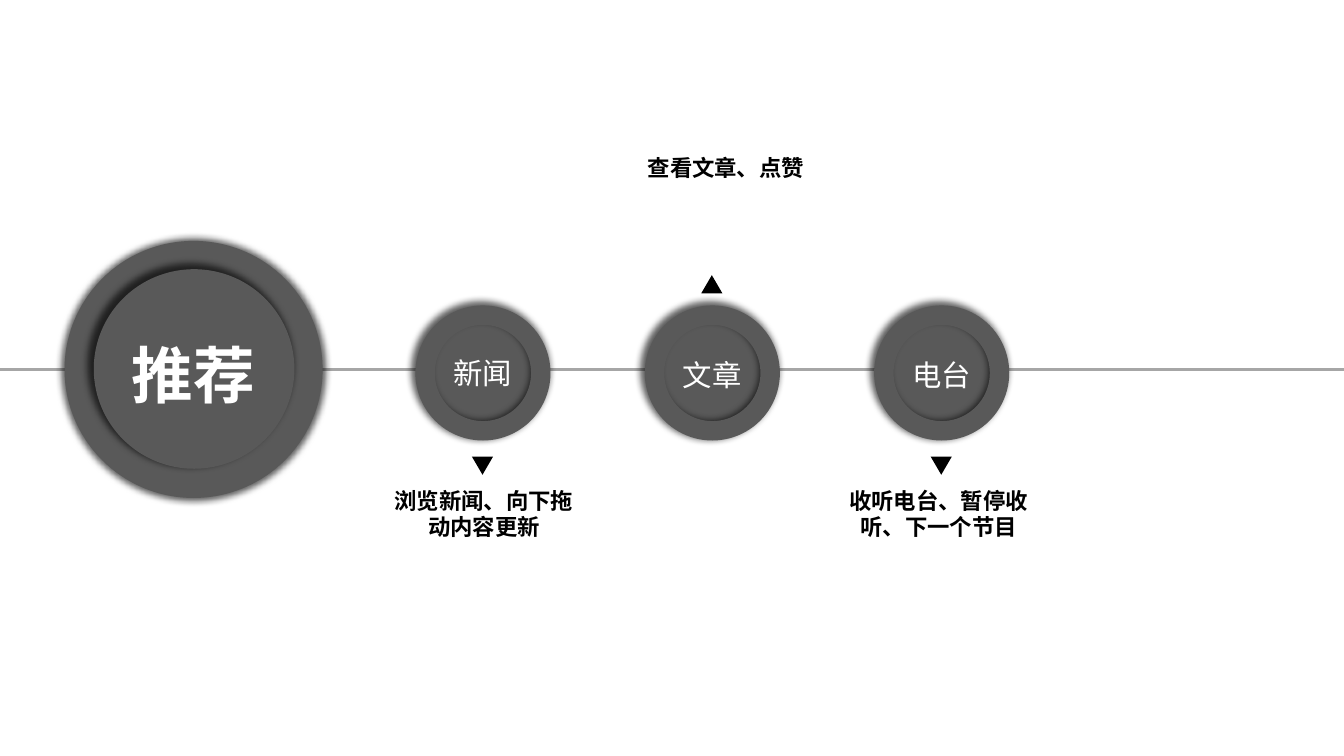
from lxml.etree import SubElement as Sub
from pptx import Presentation
from pptx.dml.color import RGBColor as Rgb
from pptx.enum.shapes import MSO_CONNECTOR as Link, MSO_SHAPE as Form
from pptx.enum.text import MSO_AUTO_SIZE as Fit, PP_ALIGN as Align
from pptx.oxml.ns import qn
from pptx.util import Inches, Pt

INK = {"disc": "595959", "line": "A6A6A6", "text": "FFFFFF", "note": "000000"}
CJK = "Noto Sans CJK SC"
LEFT, STEP = 4.12, 2.275  # first ring and distance between rings

# name, name top, name font, note, note left, note top, note height, note font, arrow up
STOPS = [
    ("新闻", 3.47, "浏览新闻、向下拖动内容更新", 3.75, 4.78, 0.64, "Arial", False),
    ("文章", 3.49, "查看文章、点赞", 6.15, 1.48, 0.37, CJK, True),
    ("电台", 3.49, "收听电台、暂停收听、下一个节目", 8.26, 4.78, 0.64, CJK, False),
]


def add_form(slide, form, box, ink, turn=0):
    shape = slide.shapes.add_shape(form, *map(Inches, box))
    shape.shadow.inherit = False
    shape.fill.solid()
    shape.fill.fore_color.rgb = Rgb.from_string(INK[ink])
    shape.line.fill.background()
    shape.rotation = turn
    return shape


def add_glow(shape):
    """Soft dark shadow, slightly larger than the shape."""
    effects = shape._element.spPr.find(qn("a:effectLst"))
    glow = Sub(effects, qn("a:outerShdw"), blurRad=str(Pt(5)), sx="102000",
               sy="102000", algn="ctr", rotWithShape="0")
    black = Sub(glow, qn("a:srgbClr"), val="000000")
    Sub(black, qn("a:alpha"), val="64000")


def add_disc(slide, form, box, turn=0):
    disc = add_form(slide, form, box, "disc", turn)
    add_glow(disc)
    return disc


def add_text(slide, words, box, size, font, ink, bold=False, wrap=False):
    frame = slide.shapes.add_textbox(*map(Inches, box)).text_frame
    frame.word_wrap = wrap
    frame.auto_size = Fit.SHAPE_TO_FIT_TEXT
    para = frame.paragraphs[0]
    para.alignment = Align.CENTER if wrap else Align.LEFT
    run = para.add_run()
    run.text = words
    run.font.size = Pt(size)
    run.font.bold = bold
    run.font.name = font
    run.font.color.rgb = Rgb.from_string(INK[ink])
    Sub(run.font._element, qn("a:ea"), typeface=font)


def add_axis(slide):
    axis = slide.shapes.add_connector(
        Link.STRAIGHT, 0, Inches(3.67), Inches(13.33), Inches(3.67))
    axis.line.color.rgb = Rgb.from_string(INK["line"])
    axis.line.width = Pt(2.25)
    Sub(axis._element.spPr, qn("a:effectLst"))


def add_stop(slide, left, name, top, note, note_left, note_top, high, font, up):
    add_disc(slide, Form.OVAL, (left + 0.14, 3.17, 1.05, 1.04))
    ring = add_disc(slide, Form.DONUT, (left, 3.03, 1.34, 1.34), 180)
    ring.adjustments[0] = 0.144
    add_text(slide, name, (left + 0.28, top, 0.78, 0.45), 21, "Arial", "text")
    add_form(slide, Form.ISOSCELES_TRIANGLE,
             (left + 0.56, 2.73 if up else 4.53, 0.21, 0.18),
             "note", 0 if up else 180)
    add_text(slide, note, (note_left, note_top, 2.1, high), 16, font, "note",
             bold=True, wrap=True)


def main():
    deck = Presentation()
    deck.slide_width, deck.slide_height = Inches(13.33), Inches(7.5)
    slide = deck.slides.add_slide(deck.slide_layouts[6])

    add_axis(slide)

    # Main topic
    add_disc(slide, Form.OVAL, (0.64, 2.39, 2.56, 2.55))
    add_disc(slide, Form.OVAL, (0.93, 2.67, 1.99, 1.98), 180)
    add_text(slide, "推荐", (1.21, 3.29, 1.42, 0.84), 44, CJK, "text", bold=True)

    # Sections along the axis
    for i, stop in enumerate(STOPS):
        add_stop(slide, LEFT + i * STEP, *stop)

    deck.save("out.pptx")


if __name__ == "__main__":
    main()
